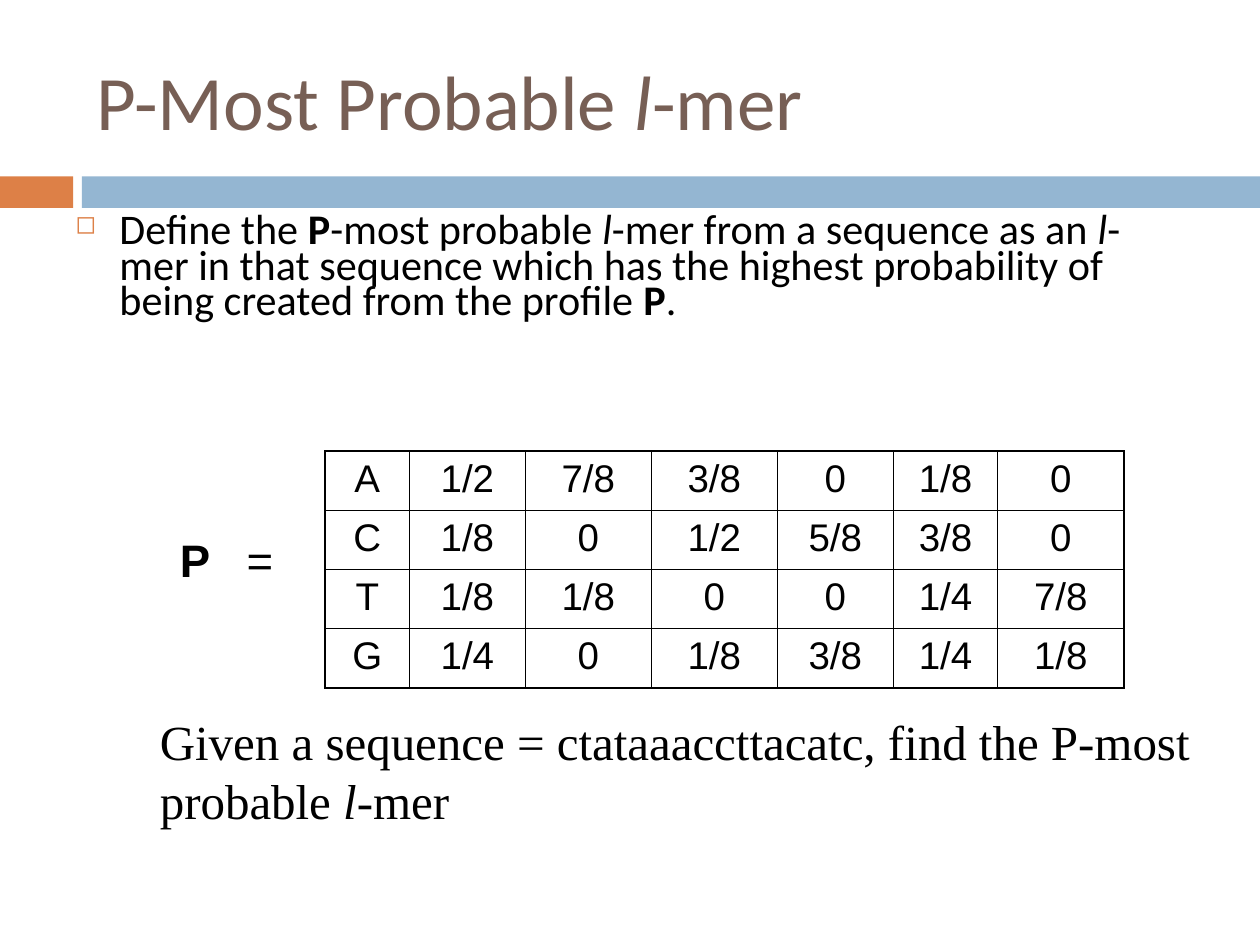
from pptx import Presentation
from pptx.dml.color import RGBColor
from pptx.enum.shapes import MSO_SHAPE as SHAPE
from pptx.enum.text import MSO_ANCHOR as ANCHOR, PP_ALIGN as ALIGN
from pptx.oxml import parse_xml
from pptx.oxml.ns import nsdecls
from pptx.util import Inches, Pt

BLACK = RGBColor(0x00, 0x00, 0x00)
BROWN = RGBColor(0x77, 0x5F, 0x55)
ORANGE = RGBColor(0xDD, 0x80, 0x47)
BLUE = RGBColor(0x94, 0xB6, 0xD2)

PROFILE = [
    "A 1/2 7/8 3/8 0 1/8 0".split(),
    "C 1/8 0 1/2 5/8 3/8 0".split(),
    "T 1/8 1/8 0 0 1/4 7/8".split(),
    "G 1/4 0 1/8 3/8 1/4 1/8".split(),
]
COLUMN_WIDTHS = [0.67, 0.92, 1, 1, 0.92, 0.83, 1]
ROW_HEIGHT = 0.47


class SlideBuilder:
    """Hold the slide and its style, and draw each kind of element."""

    outer_line = Pt(1.08)
    inner_line = Pt(0.45)

    def __init__(self, slide):
        self.slide = slide

    def bar(self, left, top, width, height, color):
        sp = self.slide.shapes.add_shape(
            SHAPE.RECTANGLE, Inches(left), Inches(top), Inches(width), Inches(height))
        sp.shadow.inherit = False
        sp.fill.solid()
        sp.fill.fore_color.rgb = color
        sp.line.fill.background()

    def text(self, left, top, width, height, parts, size, font, color=BLACK, anchor=ANCHOR.TOP):
        sp = self.slide.shapes.add_textbox(
            Inches(left), Inches(top), Inches(width), Inches(height))
        tf = sp.text_frame
        tf.word_wrap = True
        tf.vertical_anchor = anchor
        p = tf.paragraphs[0]
        for text, style in parts:
            r = p.add_run()
            r.text = text
            r.font.name = font
            r.font.size = Pt(size)
            r.font.color.rgb = color
            r.font.bold = style == "b"
            r.font.italic = style == "i"
        return p

    def bullet(self, p, char, color, percent, indent):
        pPr = p._p.get_or_add_pPr()
        pPr.set("marL", str(Inches(indent)))
        pPr.set("indent", str(-Inches(indent)))
        for xml in (
            f'<a:buClr {nsdecls("a")}><a:srgbClr val="{color}"/></a:buClr>',
            f'<a:buSzPct {nsdecls("a")} val="{percent * 1000}"/>',
            f'<a:buChar {nsdecls("a")} char="{char}"/>',
        ):
            pPr.append(parse_xml(xml))

    def tab_stop(self, p, position):
        p._p.get_or_add_pPr().append(parse_xml(
            f'<a:tabLst {nsdecls("a")}><a:tab pos="{Inches(position)}" algn="l"/></a:tabLst>'))

    def borders(self, cell, outer_sides):
        tcPr = cell._tc.get_or_add_tcPr()
        for side, outer in outer_sides.items():
            width = self.outer_line if outer else self.inner_line
            tcPr.append(parse_xml(
                f'<a:ln{side} {nsdecls("a")} w="{width}"><a:solidFill>'
                f'<a:srgbClr val="{BLACK}"/></a:solidFill></a:ln{side}>'))

    def table(self, left, top, rows, widths, row_height, size, font):
        n_rows, n_cols = len(rows), len(widths)
        table = self.slide.shapes.add_table(
            n_rows, n_cols, Inches(left), Inches(top),
            Inches(sum(widths)), Inches(row_height * n_rows)).table
        table.first_row = table.horz_banding = False
        for column, width in zip(table.columns, widths):
            column.width = Inches(width)
        for i, row in enumerate(rows):
            table.rows[i].height = Inches(row_height)
            for j, value in enumerate(row):
                cell = table.cell(i, j)
                self.borders(cell, {"L": j == 0, "R": j == n_cols - 1,
                                    "T": i == 0, "B": i == n_rows - 1})
                cell.fill.background()
                p = cell.text_frame.paragraphs[0]
                p.text = value
                p.alignment = ALIGN.CENTER
                font_style = p.runs[0].font
                font_style.name = font
                font_style.size = Pt(size)
                font_style.color.rgb = BLACK


def main():
    prs = Presentation()
    prs.slide_width, prs.slide_height = Inches(10), Inches(7.5)
    s = SlideBuilder(prs.slides.add_slide(prs.slide_layouts[6]))

    s.bar(0, 1.4, 0.58, 0.25, ORANGE)
    s.bar(0.65, 1.4, 9.35, 0.25, BLUE)
    s.text(0.67, 0.25, 8.92, 1.08,
           [("P-Most Probable ", ""), ("l", "i"), ("-mer", "")],
           44, "Calibri", BROWN, ANCHOR.MIDDLE)

    definition = s.text(0.5, 1.67, 9, 1.25, [
        ("Define the ", ""), ("P", "b"), ("-most probable ", ""), ("l", "i"),
        ("-mer from a sequence as an ", ""), ("l", "i"),
        ("-mer in that sequence which has the highest probability of "
         "being created from the profile ", ""),
        ("P", "b"), (".", "")], 24.1, "Calibri")
    s.bullet(definition, "◻", ORANGE, 60, 0.35)
    definition.line_spacing = 0.7

    s.table(2.58, 3.58, PROFILE, COLUMN_WIDTHS, ROW_HEIGHT, 22, "Arial")
    label = s.text(1.33, 4.17, 3.58, 0.54, [("P", "b"), ("\t=", "")], 26, "Arial")
    s.tab_stop(label, 0.53)
    s.text(1.17, 5.6, 8.42, 1.04, [
        ("Given a sequence = ctataaaccttacatc, find the P-most probable ", ""),
        ("l", "i"), ("-mer", "")], 28, "Times New Roman")

    prs.save("out.pptx")


if __name__ == "__main__":
    main()
